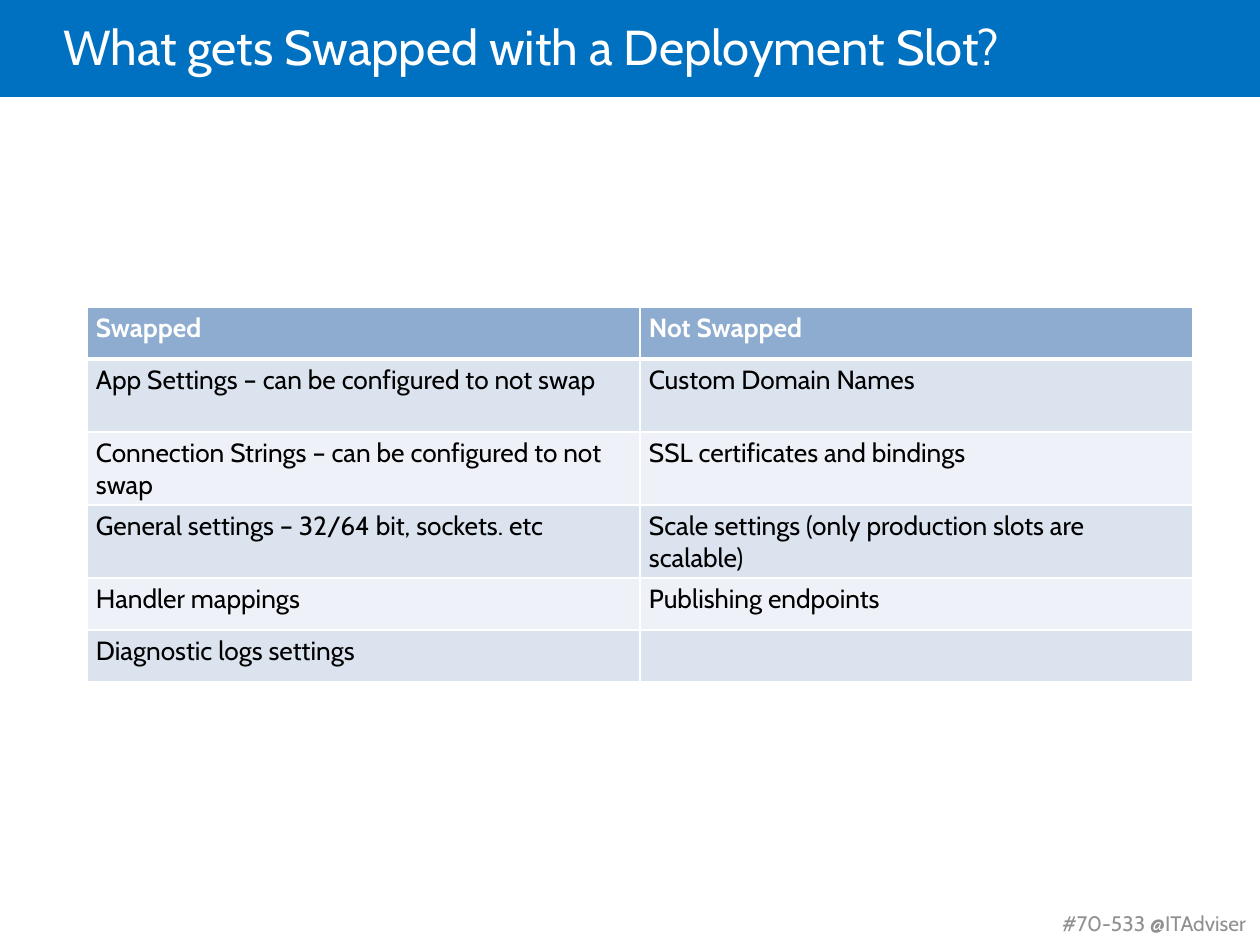
"""Build a slide listing what a deployment slot swap does and does not carry over."""
from dataclasses import dataclass

from lxml.etree import SubElement
from pptx import Presentation
from pptx.dml.color import RGBColor as Color
from pptx.enum.shapes import MSO_SHAPE as Shape
from pptx.enum.text import MSO_ANCHOR as Anchor, MSO_AUTO_SIZE as AutoSize, PP_ALIGN as Align
from pptx.oxml.ns import qn
from pptx.util import Emu, Pt


@dataclass(frozen=True)
class Theme:
    font: str = "Cabin"
    white: str = "FFFFFF"
    black: str = "000000"
    banner: str = "0070C0"
    footer: str = "909090"
    header: str = "8DACD0"
    bands: tuple = ("DBE3EE", "EEF1F7")
    title_size: int = 28
    table_size: int = 15
    footer_size: int = 12


theme = Theme()


def px(value):
    return Emu(round(value * 914400 / 126))


def write(frame, text, *, size, color, bold=False, align=Align.LEFT, anchor=Anchor.TOP,
          insets=(13, 6, 13, 6), spacing=None):
    frame.word_wrap = True
    frame.vertical_anchor = anchor
    frame.margin_left, frame.margin_top, frame.margin_right, frame.margin_bottom = map(px, insets)
    para = frame.paragraphs[0]
    para.alignment = align
    para.line_spacing = spacing
    if text:
        span = para.add_run()
        span.text = text
        span.font.name = theme.font
        span.font.size = Pt(size)
        span.font.bold = bold
        span.font.color.rgb = Color.from_string(color)


rows = [
    ("Swapped", "Not Swapped"),
    ("App Settings – can be configured to not swap", "Custom Domain Names"),
    ("Connection Strings – can be configured to not swap", "SSL certificates and bindings"),
    ("General settings – 32/64 bit, sockets. etc",
     "Scale settings (only production slots are scalable)"),
    ("Handler mappings", "Publishing endpoints"),
    ("Diagnostic logs settings", ""),
]
row_heights = [52, 73, 73, 73, 52, 52]
column_width = 553

deck = Presentation()
deck.slide_width, deck.slide_height = px(1260), px(945)
page = deck.slides.add_slide(deck.slide_layouts[5])

title = page.shapes.title
title.left, title.top, title.width, title.height = px(63), px(0), px(1071), px(102)
write(title.text_frame, "What gets Swapped with a Deployment Slot?", size=theme.title_size,
      color=theme.white, anchor=Anchor.MIDDLE, insets=(0, 6, 13, 6), spacing=0.85)
title.text_frame.auto_size = AutoSize.NONE

banner = page.shapes.add_shape(Shape.RECTANGLE, px(0), px(0), px(1260), px(97))
banner.shadow.inherit = False
banner.fill.solid()
banner.fill.fore_color.rgb = Color.from_string(theme.banner)
banner.line.fill.background()
title.element.addprevious(banner.element)

footer = page.shapes.add_textbox(px(930), px(905), px(329), px(38))
write(footer.text_frame, "#70-533 @ITAdviser", size=theme.footer_size,
      color=theme.footer, align=Align.RIGHT)

table = page.shapes.add_table(len(rows), 2, px(87), px(307), px(2 * column_width),
                              px(sum(row_heights))).table
for column in table.columns:
    column.width = px(column_width)

for index, (labels, height) in enumerate(zip(rows, row_heights)):
    table.rows[index].height = px(height)
    is_header = index == 0
    for position, label in enumerate(labels):
        cell = table.cell(index, position)
        write(cell.text_frame, label, size=theme.table_size, bold=is_header,
              color=theme.white if is_header else theme.black)
        cell.margin_left = cell.margin_right = px(9)
        cell.margin_top = cell.margin_bottom = px(5)
        cell.vertical_anchor = Anchor.TOP
        properties = cell._tc.get_or_add_tcPr()
        for side in "LRTB":
            is_thick = (index, side) in ((0, "B"), (1, "T"))
            border = SubElement(properties, qn(f"a:ln{side}"), w=str(Pt(3 if is_thick else 1)))
            SubElement(SubElement(border, qn("a:solidFill")), qn("a:srgbClr"), val=theme.white)
        cell.fill.solid()
        cell.fill.fore_color.rgb = Color.from_string(
            theme.header if is_header else theme.bands[(index - 1) % 2])

deck.save("out.pptx")
